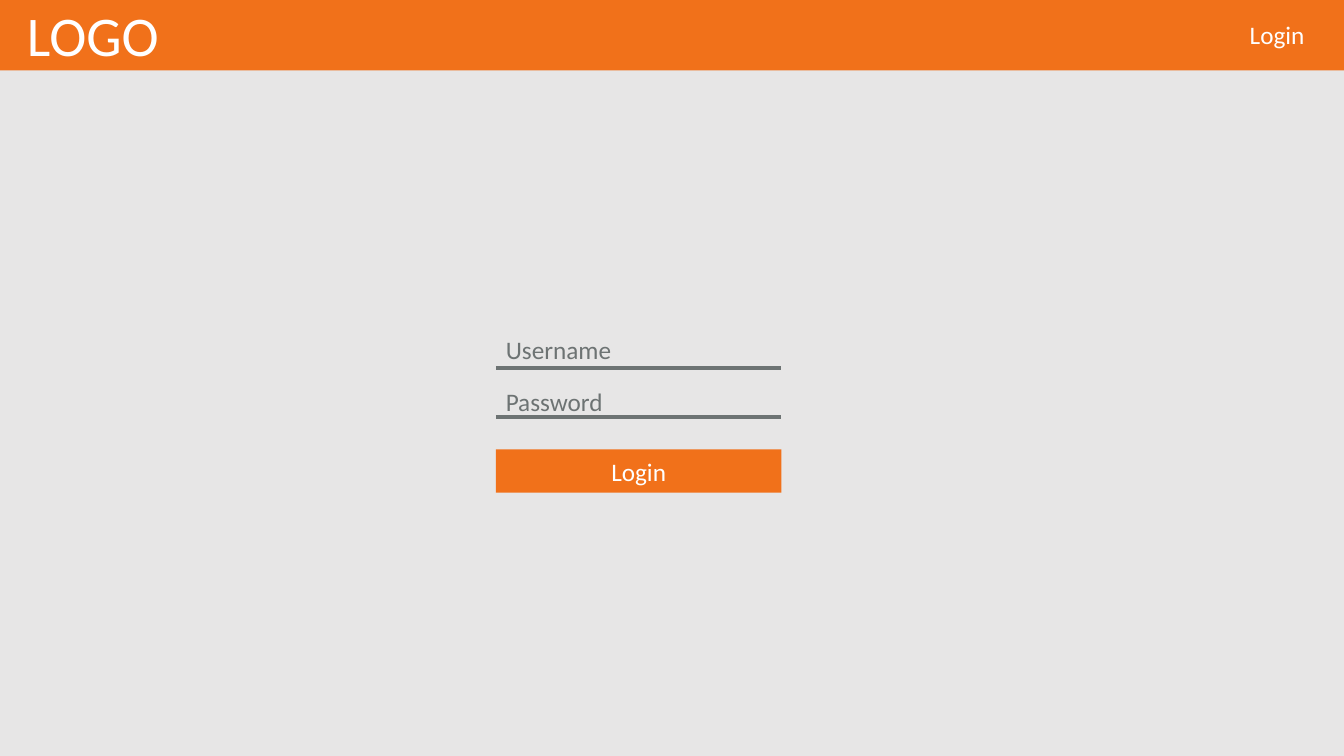
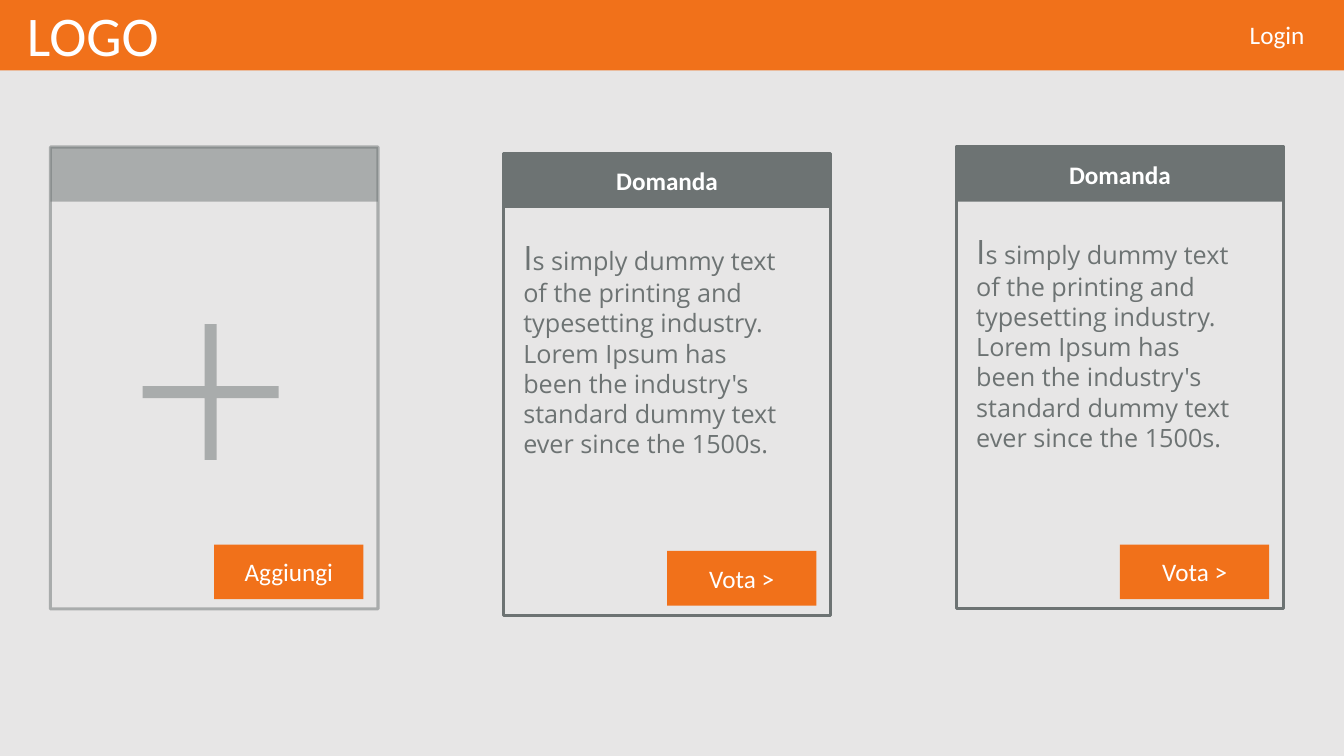
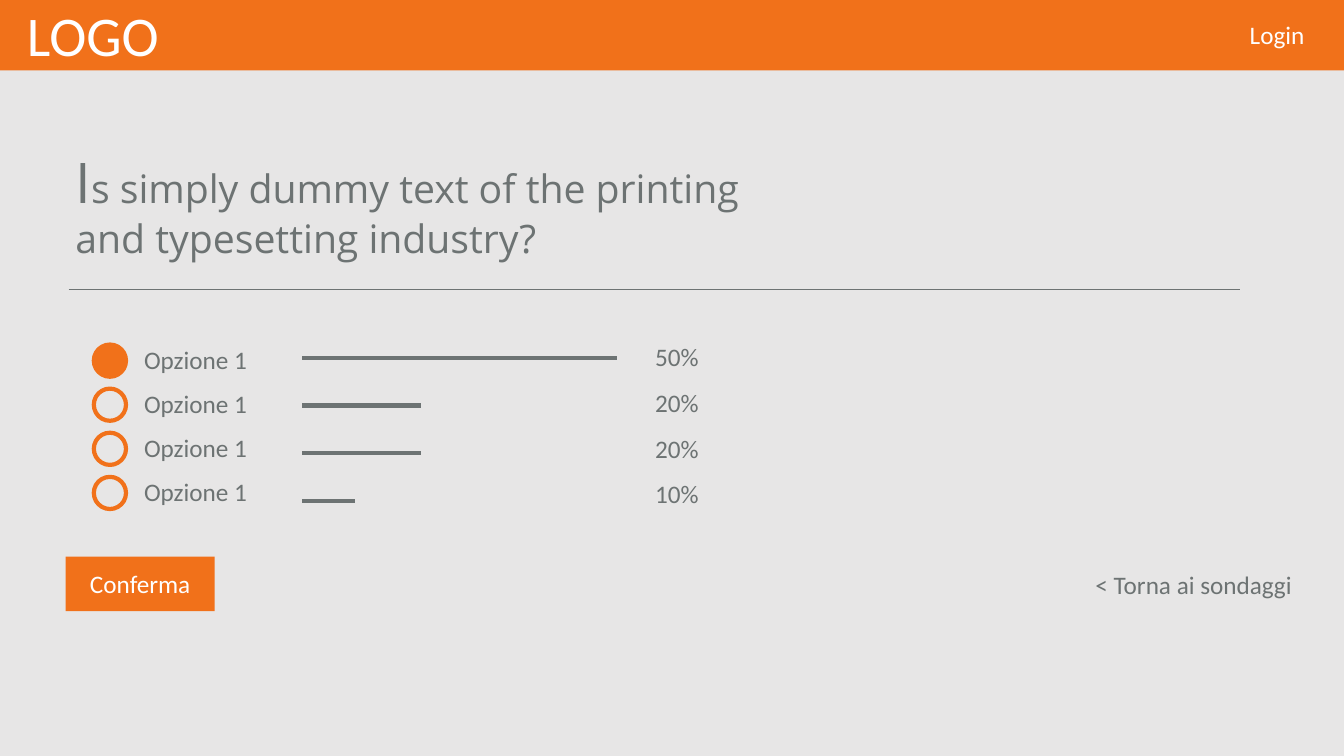
from dataclasses import dataclass

from lxml import etree
from pptx import Presentation
from pptx import util as u
from pptx.dml.color import RGBColor
from pptx.enum import shapes, text
from pptx.oxml.ns import qn


@dataclass(frozen=True)
class Theme:
    accent: str = "F1711A"
    ink: str = "6D7373"
    paper: str = "E7E6E6"
    white: str = "FFFFFF"
    face: str = "Calibri"
    reading_face: str = "Open Sans"
    body: int = 18
    initial: int = 24
    question: int = 28
    display: int = 40
    thin: float = 1
    outline: float = 2.25
    thick: float = 3
    button_width: float = 106.6
    button_height: float = 39


def apply(target, values):
    for name, value in values.items():
        setattr(target, name, value)


class Mockup:
    def __init__(self, deck, theme):
        self.deck = deck
        self.theme = theme
        fill = deck.slide_master.background.fill
        fill.solid()
        fill.fore_color.rgb = RGBColor.from_string(theme.paper)

    def new_page(self):
        self.slide = self.deck.slides.add_slide(self.deck.slide_layouts[6])
        self.end_group()
        self.header()

    def begin_group(self):
        self.canvas = self.slide.shapes.add_group_shape().shapes

    def end_group(self):
        self.canvas = self.slide.shapes

    def set_runs(self, frame, runs, color, align=text.PP_ALIGN.LEFT, bold=False):
        paragraph = frame.paragraphs[0]
        paragraph.alignment = align
        for words, size, face in runs:
            run = paragraph.add_run()
            run.text = words
            apply(run.font, {"size": u.Pt(size), "name": face, "bold": bold})
            run.font.color.rgb = RGBColor.from_string(color)

    def shape(self, box, kind=shapes.MSO_SHAPE.RECTANGLE, fill=None, line=None,
              weight=0, opacity=100):
        item = self.canvas.add_shape(kind, *map(u.Pt, box))
        item.shadow.inherit = False
        if fill:
            item.fill.solid()
            item.fill.fore_color.rgb = RGBColor.from_string(fill)
        else:
            item.fill.background()
        if line:
            item.line.color.rgb = RGBColor.from_string(line)
            item.line.width = u.Pt(weight)
        else:
            item.line.fill.background()
        if opacity < 100:
            for color in item.element.spPr.iter(qn("a:srgbClr")):
                etree.SubElement(color, qn("a:alpha"), val=str(opacity * 1000))
        return item

    def label(self, box, words, color=None, size=None):
        runs = [(words, size or self.theme.body, self.theme.face)]
        self.passage(box, runs, color)

    def passage(self, box, runs, color=None):
        frame = self.canvas.add_textbox(*map(u.Pt, box)).text_frame
        apply(frame, {"word_wrap": True,
                      "auto_size": text.MSO_AUTO_SIZE.SHAPE_TO_FIT_TEXT})
        self.set_runs(frame, runs, color or self.theme.ink)

    def lead_passage(self, box, initial, rest, initial_size, rest_size):
        face = self.theme.reading_face
        self.passage(box, [(initial, initial_size, face), (rest, rest_size, face)])

    def plate(self, box, words, fill, bold=False):
        frame = self.shape(box, fill=fill).text_frame
        apply(frame, {"word_wrap": True, "vertical_anchor": text.MSO_ANCHOR.MIDDLE})
        self.set_runs(frame, [(words, self.theme.body, self.theme.face)],
                      self.theme.white, text.PP_ALIGN.CENTER, bold)

    def button(self, left, top, words):
        box = (left, top, self.theme.button_width, self.theme.button_height)
        self.plate(box, words, self.theme.accent)

    def rule(self, left, top, width, weight):
        line = self.canvas.add_connector(
            shapes.MSO_CONNECTOR.STRAIGHT,
            *map(u.Pt, (left, top, left + width, top)))
        line.line.color.rgb = RGBColor.from_string(self.theme.ink)
        line.line.width = u.Pt(weight)
        etree.SubElement(line.element.spPr, qn("a:effectLst"))

    def header(self):
        self.begin_group()
        self.shape((0, -0.7, 960, 51), fill=self.theme.accent)
        self.label((12.2, -2.9, 204, 55.7), "LOGO", self.theme.white,
                   self.theme.display)
        self.label((885.6, 10.4, 74, 29), "Login", self.theme.white)
        self.end_group()

    def card(self, left, top, action, heading=None, initial="", rest=""):
        theme = self.theme
        width, height, band = 234, 330, 39
        opacity = 100 if heading else 50
        self.begin_group()
        self.shape((left, top, width, height), line=theme.ink,
                   weight=theme.outline, opacity=opacity)
        if heading:
            self.plate((left, top, width, band), heading, theme.ink, bold=True)
            self.lead_passage((left + 7.2, top + 56.2, 206, 167), initial, rest,
                              theme.initial, theme.body)
        else:
            self.shape((left, top, width, band), fill=theme.ink, opacity=opacity)
        self.button(left + 117, top + 284, action)
        self.end_group()

    def option(self, top, words, chosen):
        accent = self.theme.accent
        self.begin_group()
        self.shape((67, top + 3.7, 23, 23), shapes.MSO_SHAPE.OVAL,
                   fill=accent if chosen else None, line=accent,
                   weight=self.theme.thick)
        self.label((95.8, top, 397, 29), words)
        self.end_group()


def login_page(page):
    left, width = 354.2, 204
    page.new_page()
    page.plate((left, 321, width, 31), "Login", page.theme.accent)
    for words, top, line_top in (("Username", 235.4, 262.8),
                                 ("Password", 272.2, 298.1)):
        page.rule(left, line_top, width, page.theme.thick)
        page.label((left, top, width, 29), words)


def polls_page(page):
    left, step, top = 36, 323.5, 105
    poll = ("Vota >", "Domanda", "I",
            "s simply dummy text of the printing and typesetting industry. "
            "Lorem Ipsum has been the industry's standard dummy text ever "
            "since the 1500s.")
    page.new_page()
    page.card(left, top, "Aggiungi")
    page.card(left + 2 * step, top, *poll)
    page.card(left + step, top + 4.6, *poll)
    plus = page.shape((102, 231.6, 97, 97), shapes.MSO_SHAPE.CROSS,
                      fill=page.theme.ink, opacity=50)
    plus.adjustments[0] = 0.456


def vote_page(page):
    theme = page.theme
    page.new_page()
    page.lead_passage((46.8, 101.5, 531, 90), "I",
                      "s simply dummy text of the printing and typesetting industry?",
                      theme.display, theme.question)
    page.rule(49, 206.6, 836.6, theme.thin)
    results = (("50%", 224.5), ("20%", 85), ("20%", 85), ("10%", 37.4))
    for row, (share, length) in enumerate(results):
        page.option(242.4 + 31.5 * row, "Opzione 1", chosen=row == 0)
        page.rule(216, 255.6 + 34.1 * row, length, theme.thick)
        page.label((460.8, 240.5 + 32.6 * row, 70.6, 29), share)
    page.button(46.8, 397.6, "Conferma")
    page.label((775.4, 403.2, 184, 29), "< Torna ai sondaggi")


deck = Presentation()
apply(deck, {"slide_width": u.Pt(960), "slide_height": u.Pt(540)})
mockup = Mockup(deck, Theme())
for build in (login_page, polls_page, vote_page):
    build(mockup)
deck.save("out.pptx")
